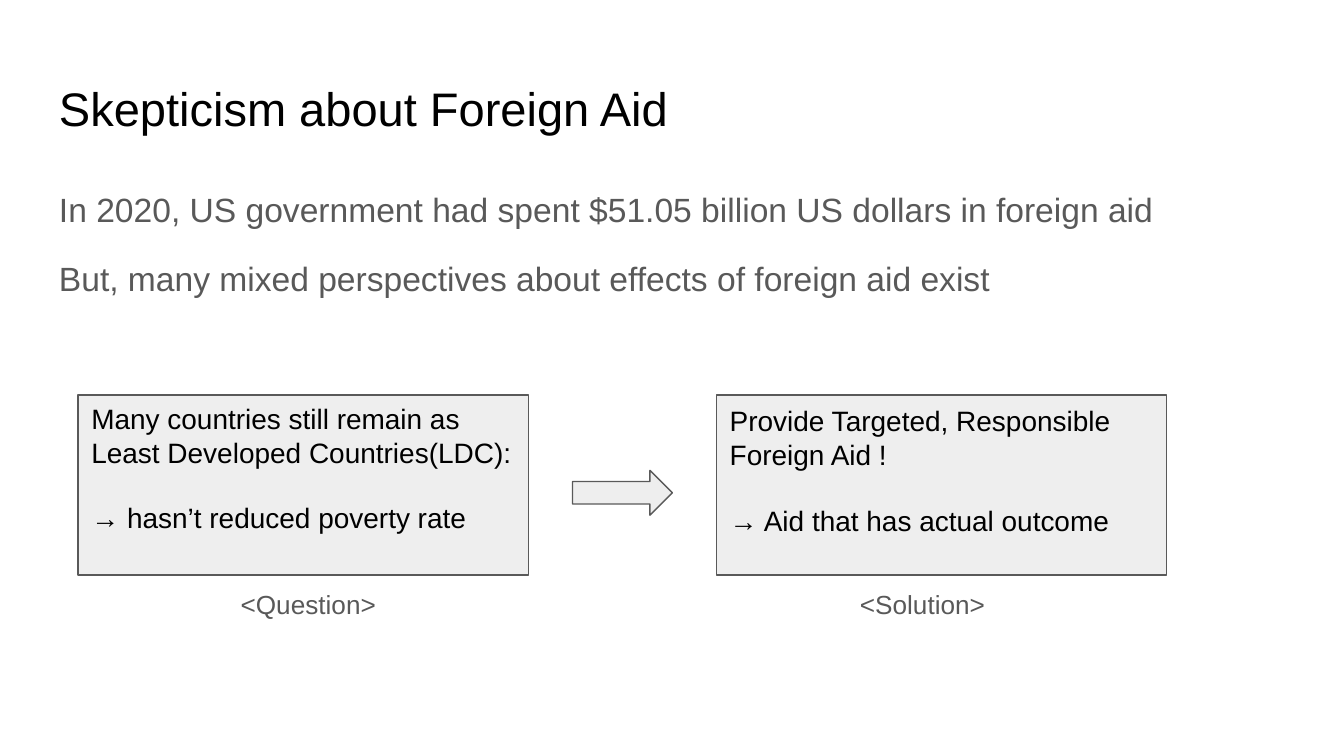
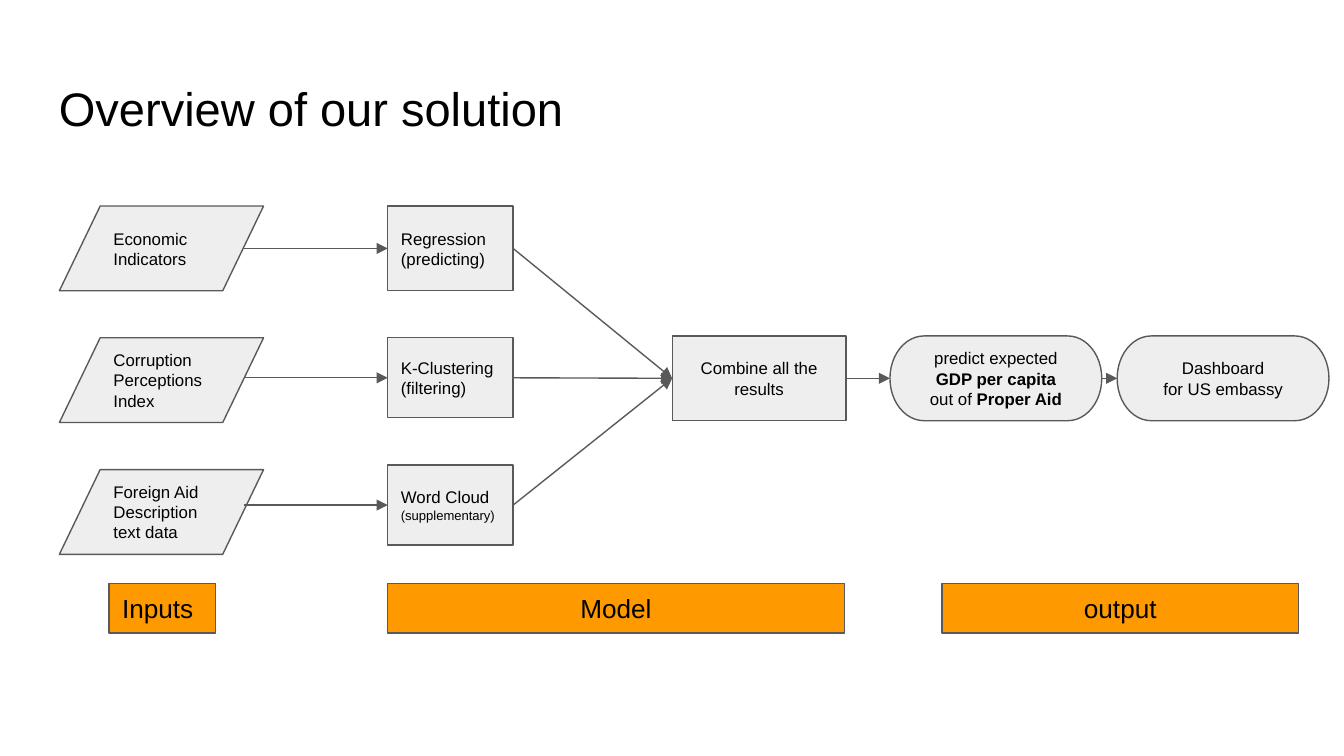
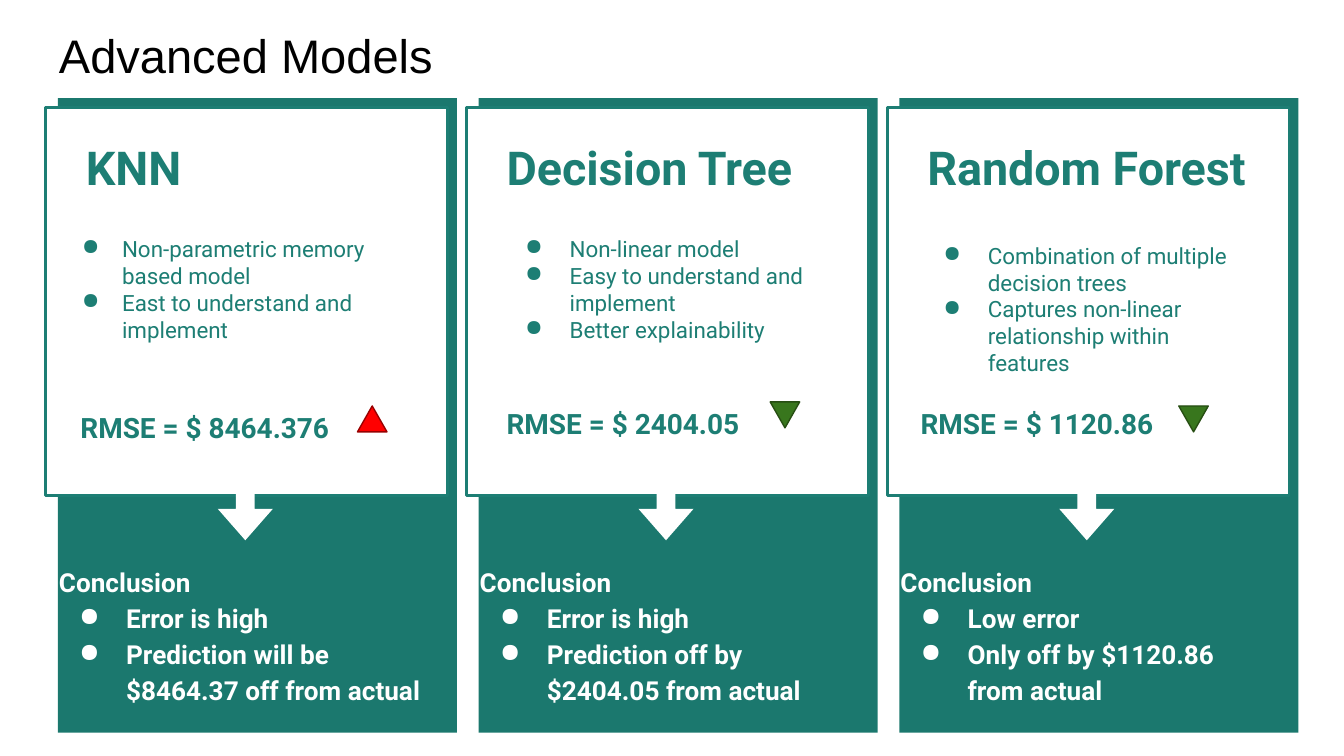
from dataclasses import dataclass

from lxml.etree import SubElement as Sub
from pptx import Presentation
from pptx.dml.color import RGBColor as Rgb
from pptx.enum.shapes import MSO_CONNECTOR as Conn, MSO_SHAPE as Geo
from pptx.enum.text import MSO_ANCHOR as Anchor, PP_ALIGN as Align
from pptx.oxml.ns import qn
from pptx.util import Pt


@dataclass(frozen=True)
class Theme:
    # Colours
    ink: str = "000000"
    gray: str = "595959"
    pale: str = "EEEEEE"
    white: str = "FFFFFF"
    orange: str = "FF9900"
    teal: str = "1D7E74"
    deep: str = "1B786E"
    bad: tuple = ("FF0000", "980000")
    good: tuple = ("38761D", "274E13")
    # Fonts and type sizes
    sans: str = "Arial"
    round: str = "Roboto"
    title: float = 25.2
    head: float = 25
    lead: float = 18
    claim: float = 15
    label: float = 14
    point: float = 12
    node: float = 9
    small: float = 7
    # Measures
    inset: float = 7.2
    thin: float = 0.75
    loose: float = 1.15


T = Theme()


def style(run, size, color, font=T.sans, bold=False):
    run.font.size, run.font.name, run.font.bold = Pt(size), font, bold
    run.font.color.rgb = Rgb.from_string(color)


def write(shape, text, size, color=T.ink, font=T.sans, bold=False,
          align=Align.LEFT, anchor=Anchor.TOP, space=None, gap=0, top=T.inset):
    """Fill a shape with text; gap is the space before later paragraphs."""
    frame = shape.text_frame
    frame.text = text
    frame.word_wrap = True
    frame.vertical_anchor = anchor
    frame.margin_left = frame.margin_right = frame.margin_bottom = Pt(T.inset)
    frame.margin_top = Pt(top)
    for i, para in enumerate(frame.paragraphs):
        para.alignment = align
        if space:
            para.line_spacing = space
        if gap and i:
            para.space_before = Pt(gap)
        for run in para.runs:
            style(run, size, color, font, bold)
    return frame


def note(shapes, box, text, size, color=T.ink, **look):
    area = shapes.add_textbox(*map(Pt, box))
    return write(area, text, size, color, **look)


def block(shapes, geo, box, fill=T.pale, line=T.gray, width=T.thin):
    shape = shapes.add_shape(geo, *map(Pt, box))
    shape.shadow.inherit = False
    shape.fill.solid()
    shape.fill.fore_color.rgb = Rgb.from_string(fill)
    if line:
        shape.line.color.rgb = Rgb.from_string(line)
        shape.line.width = Pt(width)
    else:
        shape.line.fill.background()
    return shape


def bullet(paras, color, left, hang):
    for para in paras:
        props = para._p.get_or_add_pPr()
        props.set("marL", str(Pt(left)))
        props.set("indent", str(-Pt(hang)))
        Sub(Sub(props, qn("a:buClr")), qn("a:srgbClr")).set("val", color)
        Sub(props, qn("a:buChar")).set("char", "●")


def arrow(shapes, start, end):
    """Link the left side of end to a shape's right side or to a point."""
    point = start if isinstance(start, tuple) else (0, 0)
    line = shapes.add_connector(Conn.STRAIGHT, *point, *point)
    if not isinstance(start, tuple):
        line.begin_connect(start, 3)
    line.end_connect(end, 1)
    line.line.color.rgb = Rgb.from_string(T.gray)
    line.line.width = Pt(T.thin)
    Sub(line.line._get_or_add_ln(), qn("a:tailEnd")).set("type", "triangle")
    Sub(line._element.spPr, qn("a:effectLst"))


def begin(deck, title, top=35.3):
    shapes = deck.slides.add_slide(deck.slide_layouts[6]).shapes
    note(shapes, (24.5, top, 671, 45.4), title, T.title)
    return shapes


# Slide 1: question and solution
def claim(shapes, x, y, text, top, tag, shift, wide):
    panel = block(shapes, Geo.RECTANGLE, (x, y, 241.2, 96.5))
    write(panel, text, T.claim, gap=17.25, top=top)
    note(shapes, (x + shift, y + 96.5, wide, 31.7), tag, T.label, T.gray)


def doubt(deck):
    shapes = begin(deck, "Skepticism about Foreign Aid")
    note(shapes, (24.5, 90.7, 671, 80.6),
         "In 2020, US government had spent $51.05 billion US dollars in foreign aid\n"
         "But, many mixed perspectives about effects of foreign aid exist",
         T.lead, T.gray, space=T.loose, gap=12)
    claim(shapes, 41.8, 211.7,
          "Many countries still remain as\vLeast Developed Countries(LDC):\n"
          "→ hasn’t reduced poverty rate", 3.4, "<Question>", 80, 90)
    claim(shapes, 383.8, 211.7,
          "Provide Targeted, Responsible Foreign Aid !\n"
          "→ Aid that has actual outcome", 4.6, "<Solution>", 69.8, 128)
    block(shapes, Geo.RIGHT_ARROW, (306.7, 252, 53.5, 24))


# Slide 2: flow from inputs to output
def node(shapes, geo, box, text, align=Align.CENTER):
    shape = block(shapes, geo, box)
    write(shape, text, T.node, align=align, anchor=Anchor.MIDDLE)
    return shape


def flow(shapes, x, y):
    rows = [
        ("Economic Indicators", "Regression\n(predicting)", 0, 45.4),
        ("Corruption\vPerceptions\nIndex", "K-Clustering\n(filtering)", 70.6, 42.8),
        ("Foreign Aid Description text data", "Word Cloud\n(supplementary)", 138.8, 42.8),
    ]
    # Combined result and outputs
    merge = node(shapes, Geo.FLOWCHART_PROCESS, (x + 328.3, y + 69.6, 93, 45.4),
                 "Combine all the results")
    goal, board = [
        node(shapes, Geo.FLOWCHART_TERMINATOR,
             (x + 445 + i * 121.7, y + 69.6, 113.5, 45.4), text)
        for i, text in enumerate(["predict expected\vGDP per capita\vout of ",
                                  "Dashboard\nfor US embassy"])]
    para = goal.text_frame.paragraphs[0]
    para.runs[1].font.bold = True
    aid = para.add_run()
    aid.text = "Proper Aid"
    style(aid, T.node, T.ink, bold=True)

    # Inputs, each with its model
    for i, (source, name, down, tall) in enumerate(rows):
        node(shapes, Geo.FLOWCHART_DATA, (x, y + i * 70.6, 109.4, 45.4),
             source, Align.LEFT)
        model = node(shapes, Geo.FLOWCHART_PROCESS,
                     (x + 175.9, y + down, 67.2, tall), name, Align.LEFT)
        arrow(shapes, (Pt(x + 99), Pt(y + down + tall / 2)), model)
        arrow(shapes, model, merge)
    model.text_frame.paragraphs[1].runs[0].font.size = Pt(T.small)
    arrow(shapes, merge, goal)
    arrow(shapes, goal, board)


def stage(shapes, y):
    for x, wide, text, align in [(58.3, 57, "Inputs", Align.LEFT),
                                 (207.5, 245, "Model", Align.CENTER),
                                 (504.7, 191, "output", Align.CENTER)]:
        bar = block(shapes, Geo.RECTANGLE, (x, y, wide, 26.5), T.orange)
        write(bar, text, T.label, align=align, anchor=Anchor.MIDDLE)


def plan(deck):
    shapes = begin(deck, "Overview of our solution")
    flow(shapes, 31.8, 110.4)
    stage(shapes, 312.6)


# Slide 3: model cards
@dataclass
class Model:
    name: str
    points: str
    body: tuple
    left: float
    error: str
    score: tuple
    mark: tuple
    good: bool
    result: str


MODELS = [
    Model("KNN", "Non-parametric memory based model\nEast to understand and implement",
          (12.2, 66.2), 21.6, "8464.376", (11.5, 157.7), (167, 164.9), False,
          "Error is high\nPrediction will be $8464.37 off from actual"),
    Model("Decision Tree",
          "Non-linear model\nEasy to understand and implement\nBetter explainability",
          (12.2, 66.2), 36, "2404.05", (14.4, 155.5), (162.7, 162.7), True,
          "Error is high\nPrediction off by $2404.05 from actual"),
    Model("Random Forest", "Combination of multiple decision trees\n"
          "Captures non-linear relationship within features",
          (10.8, 69.8), 36, "1120.86", (10.8, 155.5), (156.2, 164.9), True,
          "Low error\nOnly off by $1120.86 from actual"),
]


def card(shapes, x, y, model):
    def at(dx, dy, wide, tall):
        return x + dx, y + dy, wide, tall

    look = dict(color=T.teal, font=T.round)
    # Panels and pointer
    block(shapes, Geo.RECTANGLE, at(6.5, 0, 213.8, 340), T.deep, None)
    block(shapes, Geo.RECTANGLE, at(0, 5, 215.3, 208), T.white, T.teal, 1.5)
    point = block(shapes, Geo.RIGHT_ARROW, at(90.7, 205.9, 32.4, 29.5), T.white, None)
    point.rotation = 90
    point.adjustments[0], point.adjustments[1] = 0.34, 0.57

    # Name, traits and error
    note(shapes, at(14.4, 14.4, 190.8, 56), model.name, T.head, bold=True, **look)
    traits = note(shapes, at(*model.body, 190.8, 50.4), model.points, T.point, **look)
    bullet(traits.paragraphs, T.teal, model.left, 23.8)
    note(shapes, at(*model.score, 190.8, 39), f"RMSE = $ {model.error}", T.claim,
         bold=True, space=T.loose, **look)
    fill, line = T.good if model.good else T.bad
    mark = block(shapes, Geo.ISOSCELES_TRIANGLE, at(*model.mark, 15.8, 13.9), fill, line)
    mark.rotation = 180 if model.good else 0

    # Conclusion
    close = note(shapes, at(0, 241.2, 213.8, 90.7), "Conclusion\n" + model.result,
                 T.label, T.white, font=T.round, bold=True, space=T.loose)
    bullet(close.paragraphs[1:], T.white, 36, 25.2)


def compare(deck):
    shapes = begin(deck, "Advanced Models", 7.2)
    for i, model in enumerate(MODELS):
        card(shapes.add_group_shape().shapes, 24.5 + i * 225.4, 52.6, model)


def main():
    deck = Presentation()
    deck.slide_width, deck.slide_height = Pt(720), Pt(405)
    for build in (doubt, plan, compare):
        build(deck)
    deck.save("out.pptx")


if __name__ == "__main__":
    main()
